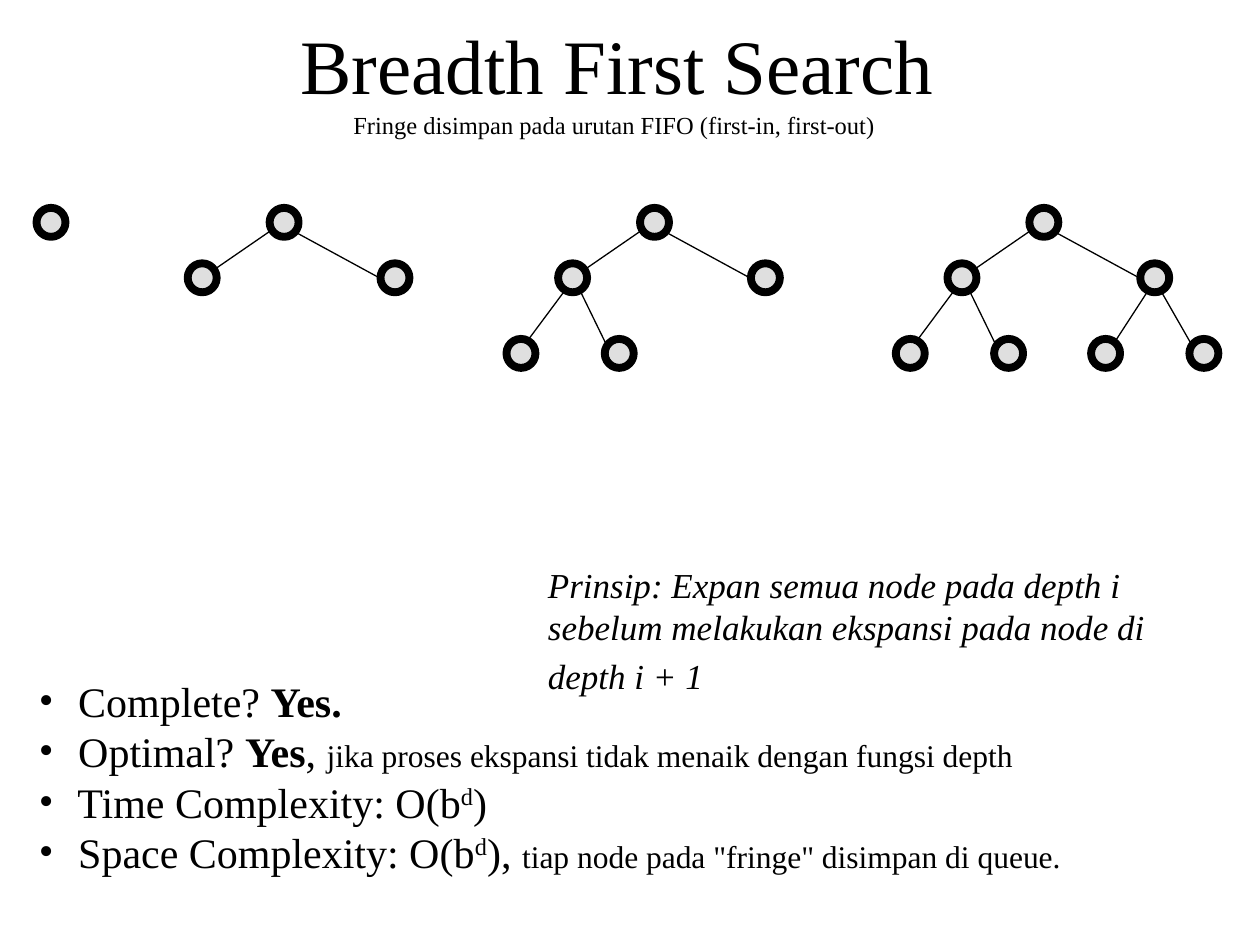
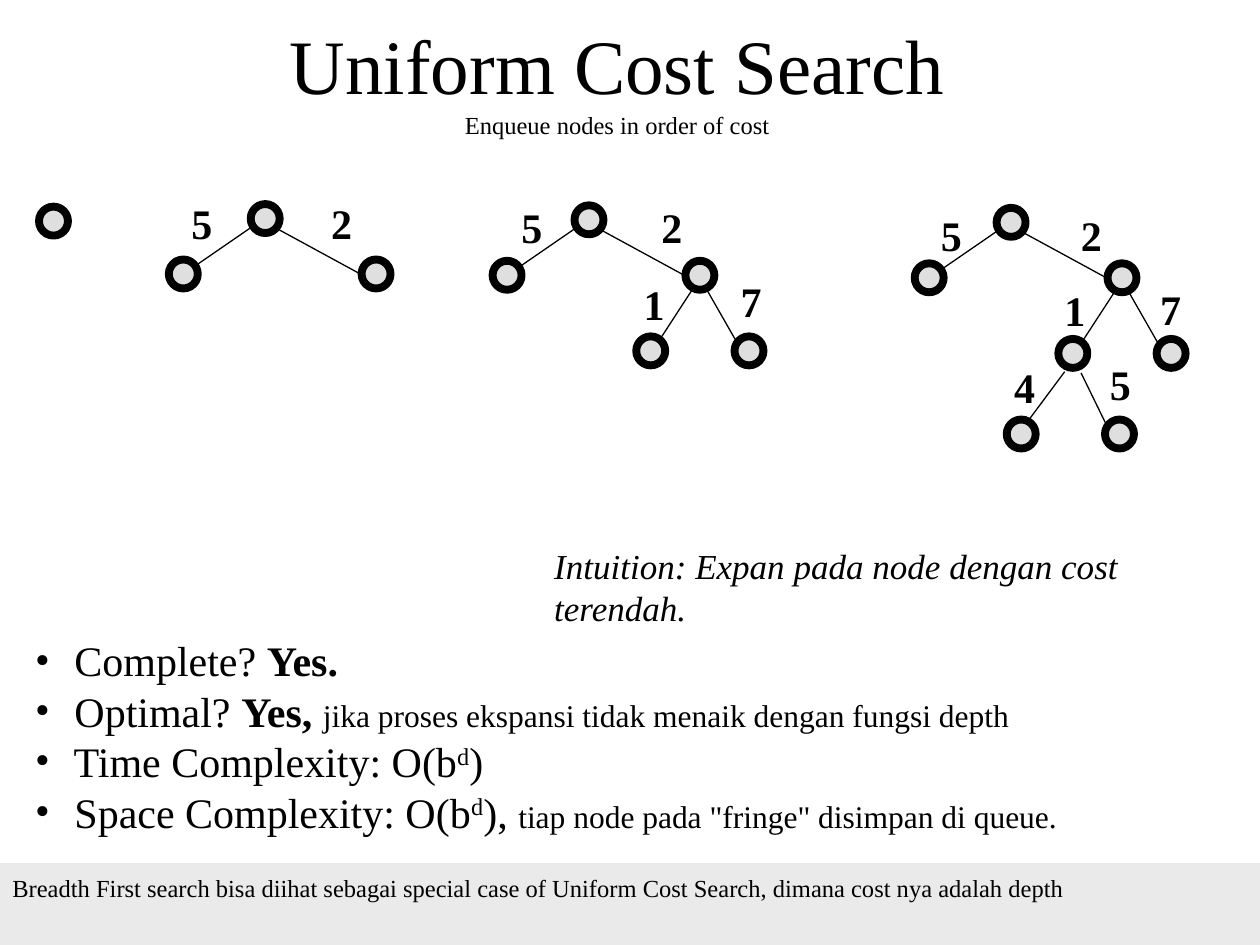
"""Build two slides on breadth first and uniform cost search."""
from lxml import etree
from pptx import Presentation
from pptx import util as u
from pptx.dml import color
from pptx.enum import shapes, text
from pptx.oxml import ns

PX = 9144
FONT = "Times New Roman"
INK = {"black": "000000", "node": "C0C0C0", "band": "EAEAEA"}
RGB = {name: color.RGBColor.from_string(code) for name, code in INK.items()}
NODE = 23
STEP = 23

# Each fork: parent offset from the root, then child and edge offsets from the parent.
FORKS = {
    "top": ((0, 0), [((-65, 44), (1, 18, -44, 49)), ((88, 44), (20, 19, 88, 56))]),
    "left": ((-65, 44), [((-41, 60), (5, 22, -24, 61)), ((37, 60), (18, 23, 38, 64))]),
    "right": ((88, 44), [((-39, 60), (6, 22, -20, 62)), ((39, 60), (17, 23, 41, 65))]),
    "deep": ((49, 108), [((-41, 60), (5, 22, -24, 61)), ((37, 60), (18, 23, 38, 64))]),
}

PAGES = [
    {
        "title": "Breadth First Search",
        "sub": "Fringe disimpan pada urutan FIFO (first-in, first-out) ",
        "trees": [
            (29, 165, []),
            (214, 165, ["top"]),
            (508, 165, ["top", "left"]),
            (817, 165, ["top", "left", "right"]),
        ],
        "costs": [],
        "list": (21, 531, 957, 170),
        "yes": [("Yes", 24, "b"), (", ", 24, "")],
        "idea": (425, 442, 531, 117),
        "words": [
            ("Prinsip: Expan semua node pada depth i sebelum melakukan "
             "ekspansi pada node di depth i + 1", 20, "i"),
            (" ", 24, ""),
        ],
        "foot": "",
    },
    {
        "title": "Uniform Cost Search",
        "sub": "Enqueue nodes in order of cost",
        "trees": [
            (31, 164, []),
            (199, 162, ["top"]),
            (456, 163, ["top", "right"]),
            (791, 165, ["top", "right", "deep"]),
        ],
        "costs": [
            ("5", 142, 152), ("2", 253, 152),
            ("5", 404, 155), ("2", 515, 155), ("1", 501, 216), ("7", 578, 214),
            ("5", 737, 161), ("2", 848, 161), ("1", 835, 221), ("7", 911, 220),
            ("4", 795, 282), ("5", 871, 280),
        ],
        "list": (18, 499, 957, 170),
        "yes": [("Yes, ", 24, "b")],
        "idea": (430, 427, 531, 77),
        "words": [("Intuition: Expan pada node dengan cost terendah.", 20, "i")],
        "foot": "Breadth First search bisa diihat sebagai special case of "
                "Uniform Cost Search, dimana cost nya adalah depth",
    },
]


def write(slide, box, paras, wrap=True):
    """Add a text box; each paragraph is a list of (words, size, style)."""
    frame = slide.shapes.add_textbox(*[n * PX for n in box]).text_frame
    frame.word_wrap = wrap
    for i, parts in enumerate(paras):
        para = frame.add_paragraph() if i else frame.paragraphs[0]
        for words, size, style in parts:
            if words == "\n":
                para.add_line_break()
                continue
            run = para.add_run()
            run.text = words
            run.font.name = FONT
            run.font.size = u.Pt(size)
            run.font.color.rgb = RGB["black"]
            run.font.bold = "b" in style
            run.font.italic = "i" in style
            if "s" in style:
                run.font._element.set("baseline", "30000")
    return frame


def plot(slide, kind, box, fill):
    """Add a plain filled shape without a shadow."""
    shape = slide.shapes.add_shape(kind, *[n * PX for n in box])
    shape.shadow.inherit = False
    shape.fill.solid()
    shape.fill.fore_color.rgb = RGB[fill]
    shape.line.fill.background()
    return shape


deck = Presentation()
deck.slide_width = 1000 * PX
deck.slide_height = 750 * PX

for page in PAGES:
    slide = deck.slides.add_slide(deck.slide_layouts[6])

    head = write(slide, (65, 0, 850, 125),
                 [[(page["title"], 44, ""), ("\n", 0, ""), (page["sub"], 14, "")]])
    head.vertical_anchor = text.MSO_ANCHOR.MIDDLE
    head.paragraphs[0].alignment = text.PP_ALIGN.CENTER

    for x, y, forks in page["trees"]:
        nodes, edges = [(x, y)], []
        for fork in forks:
            (dx, dy), kids = FORKS[fork]
            px, py = x + dx, y + dy
            for (kx, ky), (ax, ay, bx, by) in kids:
                nodes.append((px + kx, py + ky))
                edges.append((px + ax, py + ay, px + bx, py + by))
        for left, top in nodes:
            node = plot(slide, shapes.MSO_SHAPE.OVAL, (left, top, NODE, NODE), "node")
            tint = node.fill._xPr.find(".//" + ns.qn("a:srgbClr"))
            etree.SubElement(tint, ns.qn("a:alpha"), val="50000")
            node.line.color.rgb = RGB["black"]
            node.line.width = u.Pt(4.5)
        for ends in edges:
            edge = slide.shapes.add_connector(
                shapes.MSO_CONNECTOR.STRAIGHT, *[n * PX for n in ends])
            edge.line.color.rgb = RGB["black"]
            edge.line.width = u.Pt(0.75)
            etree.SubElement(edge._element.spPr, ns.qn("a:effectLst"))

    for cost, left, top in page["costs"]:
        write(slide, (left, top, 36, 50), [[(cost, 24, "b")]], wrap=False)

    facts = write(slide, page["list"], [
        [(" Complete? ", 24, ""), ("Yes.", 24, "b")],
        [(" Optimal? ", 24, ""), *page["yes"],
         ("jika proses ekspansi tidak menaik dengan fungsi depth", 18, "")],
        [(" Time Complexity: O(b", 24, ""), ("d", 24, "s"), (")", 24, "")],
        [(" Space Complexity: O(b", 24, ""), ("d", 24, "s"), ("), ", 24, ""),
         ('tiap node pada "fringe" disimpan di queue.', 18, "")],
    ])
    for para in facts.paragraphs:
        para.line_spacing = u.Pt(28.8)
        props = para._p.get_or_add_pPr()
        props.set("marL", str(STEP * PX))
        props.set("indent", str(-STEP * PX))
        etree.SubElement(props, ns.qn("a:buFont"), typeface=FONT)
        etree.SubElement(props, ns.qn("a:buChar"), char="•")

    write(slide, page["idea"], [page["words"]])

    if page["foot"]:
        plot(slide, shapes.MSO_SHAPE.RECTANGLE, (0, 685, 1000, 65), "band")
        write(slide, (0, 688, 983, 34), [[(page["foot"], 14, "")]])

deck.save("out.pptx")
